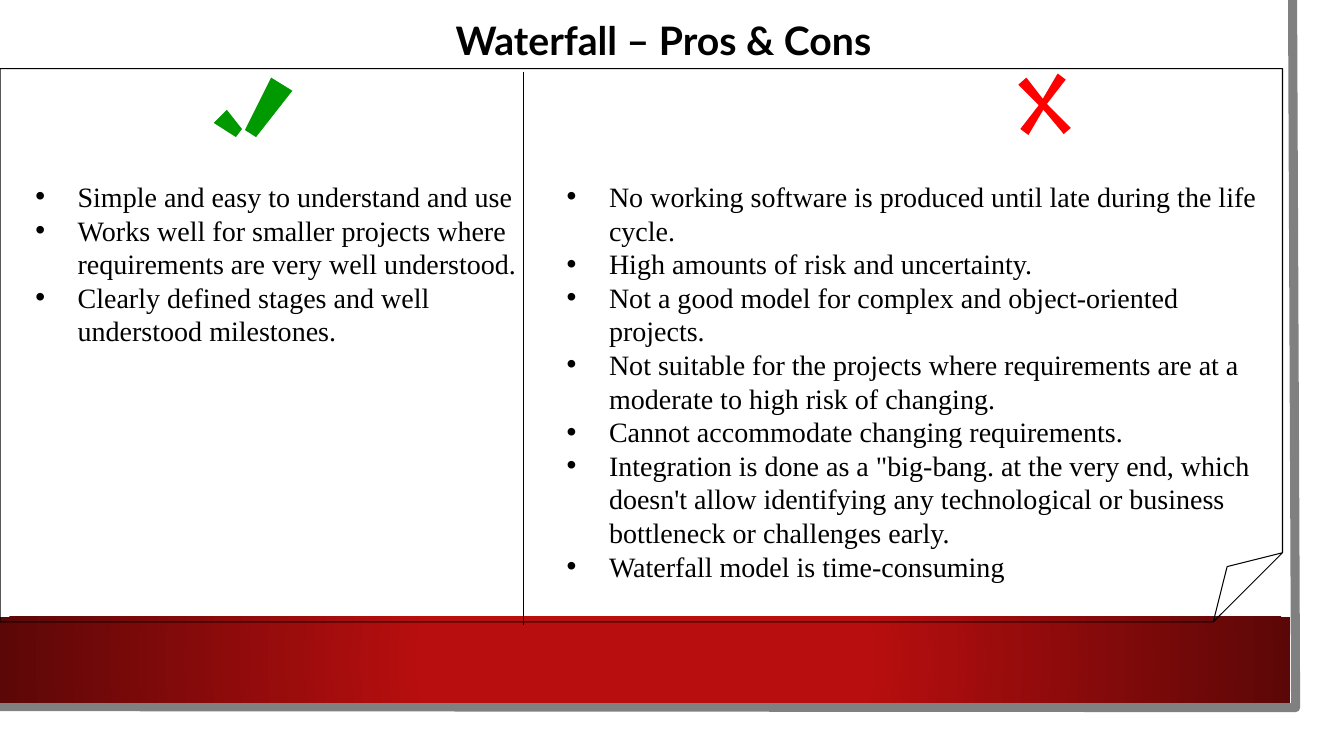
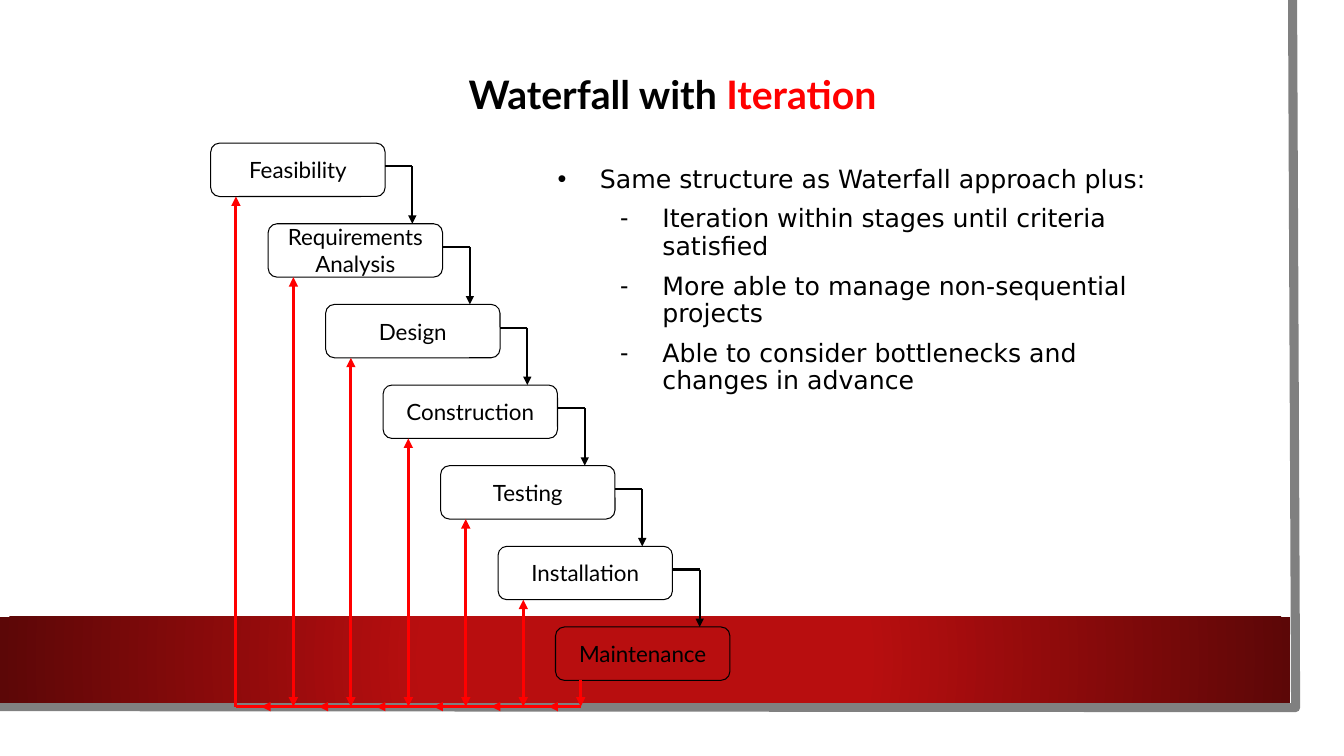
from lxml import etree
from pptx import Presentation
from pptx.dml.color import RGBColor
from pptx.enum.shapes import MSO_CONNECTOR, MSO_SHAPE
from pptx.enum.text import MSO_ANCHOR, MSO_AUTO_SIZE, PP_ALIGN
from pptx.oxml.ns import qn
from pptx.util import Inches, Pt

# Shared colours and text formats
COLORS = {"ink": "000000", "red": "FF0000", "green": "009900",
          "edge": "808080", "band": "B80E0F", "band_dark": "5C0707"}
TITLE = {"name": "Lato", "size": Pt(28), "bold": True}
STAGE = {"name": "Lato", "size": Pt(16)}
SERIF = {"name": "Times New Roman", "size": Pt(20)}
SANS = {"name": "DejaVu Sans", "size": Pt(18)}

# Tapered strokes of the marks, relative to the mark's corner
CHECK = [[(0.6, 0), (0.34, 0.52), (0.45, 0.59), (0.81, 0.13)],
         [(0.03, 0.45), (0.16, 0.32), (0.31, 0.51), (0.25, 0.59)]]
CROSS = [[(0.39, 0), (0.19, 0.34), (0.23, 0.37), (0.47, 0.06)],
         [(0.02, 0.55), (0.26, 0.24), (0.3, 0.27), (0.1, 0.61)],
         [(0, 0.11), (0.28, 0.39), (0.32, 0.35), (0.08, 0.04)],
         [(0.45, 0.6), (0.2, 0.3), (0.24, 0.26), (0.52, 0.54)]]

PROS = ["Simple and easy to understand and use",
        "Works well for smaller projects where requirements are very well understood.",
        "Clearly defined stages and well understood milestones."]
CONS = ["No working software is produced until late during the life cycle.",
        "High amounts of risk and uncertainty.",
        "Not a good model for complex and object-oriented projects.",
        "Not suitable for the projects where requirements are at a moderate to high risk of changing.",
        "Cannot accommodate changing requirements.",
        "Integration is done as a \"big-bang. at the very end, which doesn't allow "
        "identifying any technological or business bottleneck or challenges early.",
        "Waterfall model is time-consuming"]
ITERATION = ["Iteration within stages until criteria satisfied",
             "More able to manage non-sequential projects",
             "Able to consider bottlenecks and changes in advance"]
STAGES = ["Feasibility", "Requirements\nAnalysis", "Design", "Construction",
          "Testing", "Installation", "Maintenance"]


def rgb(key):
    return RGBColor.from_string(COLORS[key])


def add_run(p, text, fmt, color="ink"):
    r = p.add_run()
    r.text = text
    for name, value in fmt.items():
        setattr(r.font, name, value)
    r.font.color.rgb = rgb(color)


def place(sp, box):
    for name, value in zip(("left", "top", "width", "height"), box):
        setattr(sp, name, Inches(value))


def outline(sp, color="ink", width=0.75):
    sp.shadow.inherit = False
    sp.fill.background()
    sp.line.color.rgb = rgb(color)
    sp.line.width = Pt(width)


def add_line(s, start, end, color="ink", width=1.5, head=False, tail=False):
    line = s.shapes.add_connector(MSO_CONNECTOR.STRAIGHT,
                                  *(Inches(v) for v in (*start, *end)))
    line.line.color.rgb = rgb(color)
    line.line.width = Pt(width)
    ln = line.line._get_or_add_ln()
    for tag, shown in (("a:headEnd", head), ("a:tailEnd", tail)):
        if shown:
            etree.SubElement(ln, qn(tag), type="triangle")
    etree.SubElement(line._element.spPr, qn("a:effectLst"))


def add_outline_path(shapes, points, left=0, top=0, close=True):
    pts = [(Inches(left + x), Inches(top + y)) for x, y in points]
    builder = shapes.build_freeform(*pts[0])
    builder.add_line_segments(pts[1:], close=close)
    return builder.convert_to_shape()


def add_title(s, box, runs):
    title = s.shapes.title
    place(title, box)
    tf = title.text_frame
    tf.auto_size, tf.word_wrap = MSO_AUTO_SIZE.NONE, False
    tf.vertical_anchor = MSO_ANCHOR.MIDDLE
    p = tf.paragraphs[0]
    p.alignment = PP_ALIGN.CENTER
    for text, color in runs:
        add_run(p, text, TITLE, color)


def fill_list(body, box, items, fmt, gap=0):
    """Items are (text, level) pairs; level 1 is the dashed sublist."""
    place(body, box)
    tf = body.text_frame
    tf.auto_size, tf.word_wrap = MSO_AUTO_SIZE.NONE, True
    for i, (text, level) in enumerate(items):
        p = tf.paragraphs[0] if i == 0 else tf.add_paragraph()
        p.level = level
        p.space_before = Pt(gap if i else 0)
        p.line_spacing = 0.9 if level else 1.0
        pPr = p._p.get_or_add_pPr()
        pPr.set("marL", str(Inches(1.04 if level else 0.42)))
        pPr.set("indent", str(Inches(-0.42)))
        etree.SubElement(pPr, qn("a:buChar"), char="-" if level else "•")
        add_run(p, text, fmt)


def add_frame(prs, s):
    """Draws the page edge and red band, then hands them to the master."""
    edge = add_outline_path(s.shapes, [(12.82, 0), (12.85, 7.02), (-0.03, 7.01)],
                            close=False)
    outline(edge, "edge", 6.5)

    band = s.shapes.add_shape(MSO_SHAPE.RECTANGLE, 0, Inches(6.12),
                              Inches(12.8), Inches(0.85))
    band.shadow.inherit = False
    band.line.fill.background()
    band.fill.gradient()
    stops = zip(band.fill.gradient_stops, (0.34, 1), ("band", "band_dark"))
    for stop, position, color in stops:
        stop.position = position
        stop.color.rgb = rgb(color)
    grad = band._element.spPr.find(qn("a:gradFill"))
    lin = grad.find(qn("a:lin"))
    circle = etree.Element(qn("a:path"), {"path": "circle"})
    etree.SubElement(circle, qn("a:fillToRect"),
                     {side: "50000" for side in "ltrb"})
    grad.replace(lin, circle)

    for i, sp in enumerate((edge, band)):
        sp._element.nvSpPr.cNvPr.set("id", str(100 + i))
        prs.slide_master.shapes._spTree.insert(2 + i, sp._element)


def add_mark(s, left, top, strokes, color):
    group = s.shapes.add_group_shape()
    for points in strokes:
        sp = add_outline_path(group.shapes, points, left, top)
        sp.shadow.inherit = False
        sp.fill.solid()
        sp.fill.fore_color.rgb = rgb(color)
        sp.line.fill.background()


def add_comparison(s, left, top, width, height):
    # Folded sheet and divider
    sheet = s.shapes.add_shape(MSO_SHAPE.FOLDED_CORNER, *(
        Inches(v) for v in (left, top, width, height)))
    geom = sheet._element.spPr.find(qn("a:prstGeom"))
    etree.SubElement(geom.get_or_add_avLst(), qn("a:gd"),
                     name="adj", fmla="val 12500")
    outline(sheet)
    x = left + 5.19
    add_line(s, (x, top + 0.03), (x, top + height + 0.03), width=0.75)
    # Marks above the two lists
    add_mark(s, left + 2.09, top + 0.09, CHECK, "green")
    add_mark(s, left + 10.1, top + 0.05, CROSS, "red")
    columns = ((1, 0.25, 5.13, 2.73, PROS), (2, 5.52, 7.05, 4.14, CONS))
    for idx, dx, w, h, texts in columns:
        fill_list(s.placeholders[idx], (left + dx, top + 1.05, w, h),
                  [(text, 0) for text in texts], SERIF)


def add_stage(s, x, y, w, h, text):
    sp = s.shapes.add_shape(MSO_SHAPE.ROUNDED_RECTANGLE,
                            *(Inches(v) for v in (x, y, w, h)))
    outline(sp)
    tf = sp.text_frame
    tf.word_wrap = False
    tf.vertical_anchor = MSO_ANCHOR.MIDDLE
    for i, part in enumerate(text.split("\n")):
        p = tf.paragraphs[0] if i == 0 else tf.add_paragraph()
        p.alignment = PP_ALIGN.CENTER
        add_run(p, part, STAGE)


def add_waterfall(s, left, top):
    w, h, dx, dy = 1.73, 0.53, 0.57, 0.8
    rail = top + 5.59
    riser = left + 0.25
    last = len(STAGES) - 1
    feedback = {"color": "red", "width": 2.25}
    for i, text in enumerate(STAGES):
        x, y = left + i * dx, top + i * dy
        add_stage(s, x, y, w, h, text)
        # Step down to the next stage
        if i < last:
            bend = x + w + 0.27
            add_line(s, (x + w, y + 0.23), (bend, y + 0.23))
            add_line(s, (bend, y + 0.23), (bend, y + dy), tail=True)
        # Feedback riser, and its arrow along the rail
        rx = riser + i * dx
        add_line(s, (rx, y + h), (rx, rail), head=i < last, tail=i > 0, **feedback)
        if i > 0:
            add_line(s, (rx, rail), (rx - 0.32, rail), tail=True, **feedback)
    add_line(s, (riser, rail), (riser + last * dx, rail), **feedback)


def build_pros_cons(prs):
    s = prs.slides.add_slide(prs.slide_layouts[3])
    add_title(s, (1.58, 0.04, 10, 0.71), [("Waterfall – Pros & Cons", "ink")])
    add_comparison(s, 0, 0.68, 12.72, 5.49)
    return s


def build_iteration(prs):
    s = prs.slides.add_slide(prs.slide_layouts[1])
    add_title(s, (1.67, 0.58, 10, 0.71),
              [("Waterfall with ", "ink"), ("Iteration", "red")])
    add_waterfall(s, 2.09, 1.42)
    items = [("Same structure as Waterfall approach plus:", 0)]
    items += [(text, 1) for text in ITERATION]
    fill_list(s.placeholders[1], (5.43, 1.57, 6.24, 3.35), items, SANS, gap=9)


def main():
    prs = Presentation()
    prs.slide_width, prs.slide_height = Inches(13.33), Inches(7.5)
    add_frame(prs, build_pros_cons(prs))
    build_iteration(prs)
    prs.save("out.pptx")


if __name__ == "__main__":
    main()
